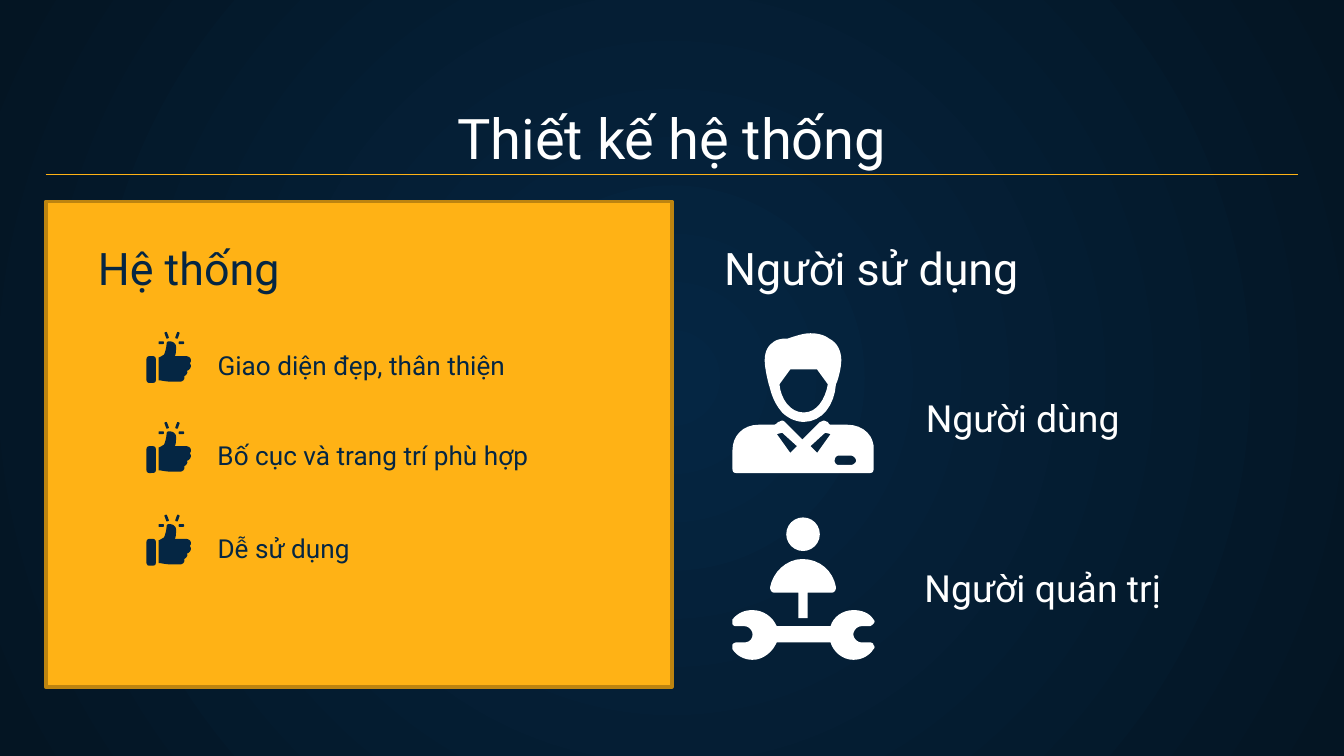
from lxml.etree import SubElement as Sub
from pptx import Presentation
from pptx.dml.color import RGBColor as Rgb
from pptx.enum.shapes import MSO_CONNECTOR as Conn, MSO_SHAPE as Kind
from pptx.enum.text import MSO_ANCHOR as Anchor, MSO_AUTO_SIZE as Auto, PP_ALIGN as Align
from pptx.oxml.ns import qn
from pptx.util import Inches, Pt

COLORS = {"navy": "052643", "night": "041523", "gold": "FFB215",
          "edge": "BD8410", "white": "FFFFFF"}
HAND = [[
    (1.25, 2.54), (1.25, 2.54, 1.24, 2.55, 1.24, 2.55),
    (1.24, 2.58, 1.23, 2.62, 1.22, 2.64), (1.2, 2.65, 1.19, 2.66, 1.18, 2.66),
    (1.18, 2.83), (1.2, 2.83, 1.23, 2.84, 1.27, 2.84), (1.34, 2.84),
    (1.36, 2.84, 1.38, 2.82, 1.37, 2.8), (1.39, 2.79, 1.4, 2.77, 1.39, 2.76),
    (1.42, 2.75, 1.43, 2.72, 1.41, 2.7), (1.42, 2.7, 1.42, 2.69, 1.42, 2.68),
    (1.42, 2.66, 1.4, 2.65, 1.38, 2.65), (1.3, 2.65),
    (1.31, 2.64, 1.31, 2.6, 1.31, 2.58), (1.31, 2.56, 1.29, 2.54, 1.26, 2.54)]]
TICKS = [(1.18, 2.54, 0.04, 0.02, 0), (1.33, 2.54, 0.04, 0.02, 0),
         (1.23, 2.47, 0.02, 0.05, -20), (1.31, 2.47, 0.02, 0.05, 20)]
WRENCH = [[
    (5.6, 4.54), (5.54, 4.54, 5.49, 4.56, 5.45, 4.61),
    (5.45, 4.62, 5.45, 4.63, 5.45, 4.64), (5.45, 4.65, 5.46, 4.66, 5.48, 4.66),
    (5.54, 4.66), (5.57, 4.66, 5.6, 4.69, 5.6, 4.72),
    (5.6, 4.76, 5.57, 4.78, 5.54, 4.78), (5.48, 4.78),
    (5.47, 4.78, 5.45, 4.79, 5.45, 4.8), (5.45, 4.81, 5.45, 4.82, 5.45, 4.83),
    (5.48, 4.88, 5.54, 4.91, 5.6, 4.91), (5.68, 4.91, 5.75, 4.85, 5.78, 4.78),
    (6.18, 4.78), (6.2, 4.85, 6.27, 4.91, 6.35, 4.91),
    (6.41, 4.91, 6.47, 4.88, 6.5, 4.83), (6.51, 4.82, 6.51, 4.81, 6.5, 4.8),
    (6.5, 4.79, 6.49, 4.78, 6.47, 4.78), (6.41, 4.78),
    (6.38, 4.78, 6.35, 4.75, 6.35, 4.72), (6.35, 4.69, 6.38, 4.66, 6.41, 4.66),
    (6.47, 4.66), (6.48, 4.66, 6.49, 4.65, 6.5, 4.64),
    (6.51, 4.63, 6.51, 4.62, 6.5, 4.61), (6.47, 4.56, 6.41, 4.54, 6.35, 4.54),
    (6.27, 4.54, 6.2, 4.59, 6.18, 4.66), (5.78, 4.66),
    (5.75, 4.59, 5.68, 4.54, 5.6, 4.54)]]
BUST = [[
    (5.97, 4.16), (5.85, 4.16, 5.75, 4.26, 5.73, 4.37),
    (5.73, 4.39, 5.74, 4.41, 5.76, 4.41), (5.94, 4.41), (5.94, 4.6),
    (6.01, 4.6), (6.01, 4.41), (6.19, 4.41),
    (6.21, 4.41, 6.22, 4.39, 6.22, 4.37), (6.2, 4.25, 6.1, 4.16, 5.97, 4.16)]]
HEAD = [
    [(6.07, 2.75), (6.08, 2.75), (6.16, 2.86),
     (6.14, 2.97, 6.08, 3.07, 5.98, 3.07), (5.88, 3.07, 5.81, 2.97, 5.8, 2.86),
     (5.88, 2.75)],
    [(6.03, 2.48), (5.98, 2.48, 5.92, 2.5, 5.86, 2.52),
     (5.86, 2.52, 5.85, 2.52, 5.84, 2.52), (5.81, 2.52, 5.77, 2.53, 5.75, 2.55),
     (5.72, 2.57, 5.69, 2.61, 5.69, 2.68), (5.69, 2.72, 5.7, 2.78, 5.72, 2.86),
     (5.73, 2.88, 5.74, 2.98, 5.82, 3.07), (5.86, 3.11, 5.92, 3.14, 5.98, 3.14),
     (6.12, 3.14, 6.21, 3.01, 6.22, 2.86), (6.24, 2.82, 6.26, 2.73, 6.26, 2.68),
     (6.26, 2.61, 6.23, 2.55, 6.17, 2.52), (6.13, 2.49, 6.08, 2.48, 6.03, 2.48)]]
COAT = [
    [(5.82, 3.22), (5.93, 3.32), (5.88, 3.37), (5.78, 3.23)],
    [(6.14, 3.22), (6.18, 3.23), (6.08, 3.37), (6.03, 3.32)],
    [(6.33, 3.39), (6.35, 3.39, 6.37, 3.41, 6.37, 3.43),
     (6.37, 3.44, 6.35, 3.46, 6.33, 3.46), (6.24, 3.46),
     (6.22, 3.46, 6.21, 3.44, 6.21, 3.43), (6.21, 3.41, 6.22, 3.39, 6.24, 3.39)],
    [(5.82, 3.13), (5.81, 3.13, 5.8, 3.14, 5.79, 3.14),
     (5.78, 3.15, 5.77, 3.16, 5.76, 3.16), (5.65, 3.16),
     (5.52, 3.16, 5.45, 3.25, 5.45, 3.35), (5.45, 3.49),
     (5.45, 3.51, 5.46, 3.52, 5.48, 3.52), (6.47, 3.52),
     (6.49, 3.52, 6.5, 3.51, 6.5, 3.49), (6.5, 3.35),
     (6.51, 3.25, 6.43, 3.16, 6.3, 3.16), (6.19, 3.16),
     (6.17, 3.16, 6.17, 3.16, 6.16, 3.14), (6.15, 3.14, 6.14, 3.13, 6.13, 3.13),
     (6.12, 3.13, 6.11, 3.14, 6.1, 3.14), (5.97, 3.27), (5.84, 3.14),
     (5.84, 3.14, 5.83, 3.13, 5.82, 3.13)]]


def tint(name):
    """Return the named colour."""
    return Rgb.from_string(COLORS[name])


def paint(shape, fill, edge=None):
    """Give a shape a flat fill, an optional edge and no shadow."""
    shape.shadow.inherit = False
    shape.fill.solid()
    shape.fill.fore_color.rgb = tint(fill)
    if edge:
        shape.line.color.rgb = tint(edge)
        shape.line.width = Pt(2)
    else:
        shape.line.fill.background()


def block(shapes, kind, box, fill, edge=None, turn=0):
    """Add a preset shape."""
    shape = shapes.add_shape(kind, *map(Inches, box))
    shape.rotation = turn
    if kind == Kind.ROUNDED_RECTANGLE:
        shape.adjustments[0] = 0.3
    paint(shape, fill, edge)


def flat(loop, steps=8):
    """Turn a loop of lines and cubic curves into points."""
    spots = [loop[0]]
    for seg in loop[1:]:
        if len(seg) == 2:
            spots.append(seg)
            continue
        ends = [spots[-1], seg[:2], seg[2:4], seg[4:]]
        for t in (n / steps for n in range(1, steps + 1)):
            mix = ((1 - t) ** 3, 3 * t * (1 - t) ** 2, 3 * t * t * (1 - t), t ** 3)
            spots.append(tuple(sum(m * e[k] for m, e in zip(mix, ends)) for k in (0, 1)))
    return spots


def trace(shapes, loops, fill, drop=0):
    """Add one outline made of closed loops, moved down by drop."""
    pen = None
    for loop in loops:
        first, *rest = [(Inches(x), Inches(y + drop)) for x, y in flat(loop)]
        if pen:
            pen.move_to(*first)
        else:
            pen = shapes.build_freeform(*first)
        pen.add_line_segments(rest, close=True)
    paint(pen.convert_to_shape(), fill)


def thumb(slide, drop):
    """Add a thumbs-up icon."""
    shapes = slide.shapes.add_group_shape().shapes
    for x, y, wide, high, turn in TICKS + [(1.09, 2.65, 0.07, 0.2, 0)]:
        block(shapes, Kind.ROUNDED_RECTANGLE, (x, y + drop, wide, high), "navy", turn=turn)
    trace(shapes, HAND, "navy", drop)


def label(slide, text, box, size, color, wrap=False):
    """Add a line of text and return its frame."""
    frame = slide.shapes.add_textbox(*map(Inches, box)).text_frame
    frame.word_wrap = wrap
    frame.auto_size = Auto.SHAPE_TO_FIT_TEXT
    line = frame.paragraphs[0]
    line.text = text
    line.font.name = "Roboto"
    line.font.size = Pt(size)
    line.font.color.rgb = tint(color)
    return frame


def title(slide, text):
    """Add the centred title and the rule below it."""
    frame = label(slide, text, (0.34, 0.71, 9.32, 0.66), 30, "white", True)
    frame.auto_size = Auto.NONE
    frame.vertical_anchor = Anchor.BOTTOM
    frame.margin_top = frame.margin_bottom = Inches(0.1)
    frame.paragraphs[0].alignment = Align.CENTER
    rule = slide.shapes.add_connector(Conn.STRAIGHT, *map(Inches, (0.34, 1.3, 9.66, 1.3)))
    rule.line.color.rgb = tint("gold")
    rule.line.width = Pt(0.75)
    Sub(rule._element.spPr, qn("a:effectLst"))


def backdrop(slide):
    """Fill the background with a round gradient."""
    fill = slide.background.fill
    fill.gradient()
    for stop, name in zip(fill.gradient_stops, ("navy", "night")):
        stop.color.rgb = tint(name)
    grad = slide._element.find(".//" + qn("a:gradFill"))
    grad.remove(grad.find(qn("a:lin")))
    ring = Sub(grad, qn("a:path"), {"path": "circle"})
    Sub(ring, qn("a:fillToRect"), dict.fromkeys("ltrb", "50000"))


def main():
    """Build the slide and save it."""
    deck = Presentation()
    deck.slide_width = Inches(10)
    deck.slide_height = Inches(10 * 9 / 16)
    slide = deck.slides.add_slide(deck.slide_layouts[6])
    backdrop(slide)
    title(slide, "Thiết kế hệ thống")
    block(slide.shapes, Kind.RECTANGLE, (0.34, 1.5, 4.66, 3.61), "gold", "edge")
    label(slide, "Hệ thống", (0.63, 1.74, 1.58, 0.5), 24, "navy")
    label(slide, "Người sử dụng", (5.29, 1.74, 2.42, 0.5), 24, "white")
    for text, drop, wide in (("Giao diện đẹp, thân thiện", 0, 2.42),
                             ("Bố cục và trang trí phù hợp", 0.67, 2.63),
                             ("Dễ sử dụng", 1.36, 1.19)):
        thumb(slide, drop)
        label(slide, text, (1.52, 2.55 + drop, wide, 0.34), 14, "navy")
    admin = slide.shapes.add_group_shape().shapes
    block(admin, Kind.OVAL, (5.85, 3.85, 0.25, 0.25), "white")
    trace(admin, WRENCH, "white")
    trace(admin, BUST, "white")
    user = slide.shapes.add_group_shape().shapes
    trace(user, HEAD, "white")
    trace(user, COAT, "white")
    label(slide, "Người dùng", (6.79, 2.89, 2, 0.44), 20, "white", True)
    label(slide, "Người quản trị", (6.78, 4.16, 2, 0.44), 20, "white", True)
    deck.save("out.pptx")


if __name__ == "__main__":
    main()
